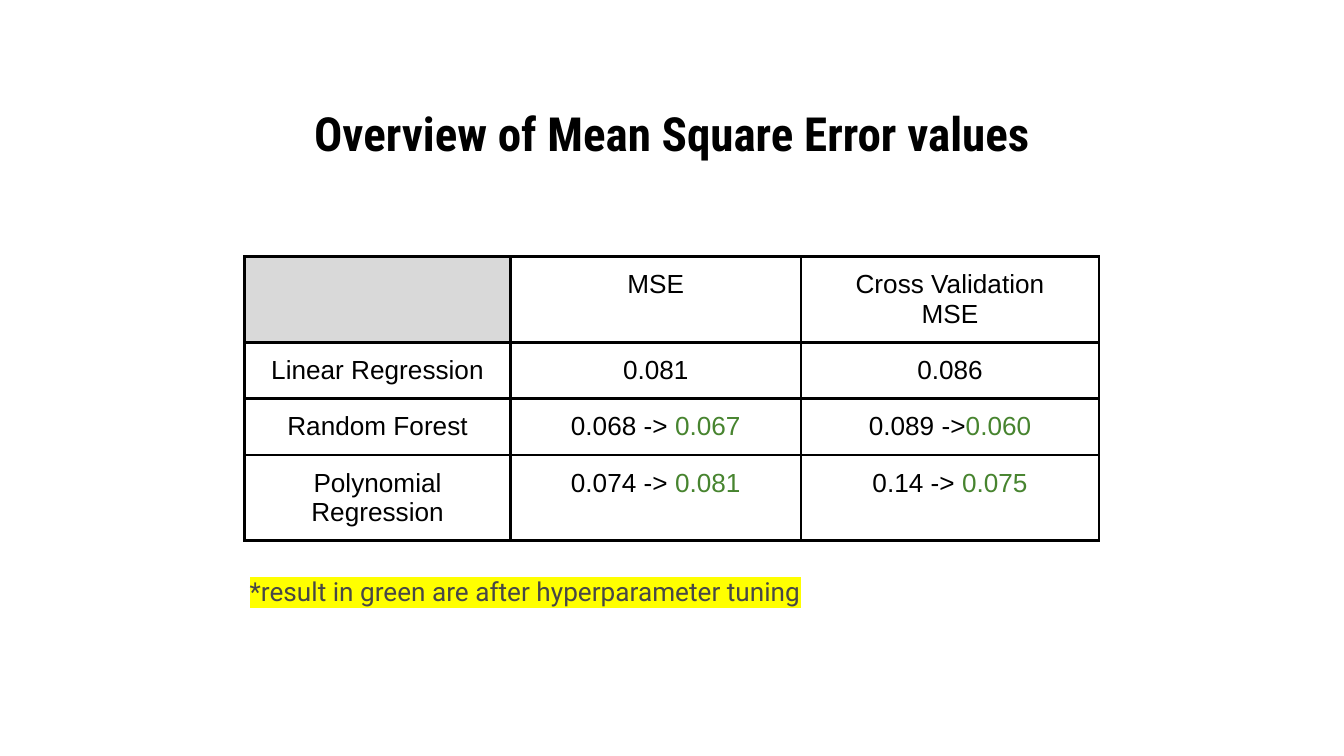
import dataclasses

import lxml.etree
import pptx
import pptx.dml.color
import pptx.enum.text
import pptx.oxml.ns
import pptx.util

Pt = pptx.util.Pt
RGBColor = pptx.dml.color.RGBColor
PP_ALIGN = pptx.enum.text.PP_ALIGN
MSO_ANCHOR = pptx.enum.text.MSO_ANCHOR
qn = pptx.oxml.ns.qn


@dataclasses.dataclass(frozen=True)
class Theme:
    ink: str = "000000"
    tuned: str = "47842F"
    note: str = "474747"
    highlight: str = "FFFF00"
    corner: str = "D9D9D9"
    title_font: str = "Roboto Condensed"
    table_font: str = "Arial"
    note_font: str = "Roboto"
    title_size: float = 25.2
    body_size: float = 14
    border: float = 1.5
    inset: float = 7.2


THEME = Theme()

COLUMN_WIDTHS = [142.6, 155.5, 159.8]
ROW_HEIGHTS = [45.6, 30.2, 30.2, 45.6]
RESULTS = [
    [("", ""), ("MSE", ""), ("Cross Validation\nMSE", "")],
    [("Linear Regression", ""), ("0.081", ""), ("0.086", "")],
    [("Random Forest", ""), ("0.068 -> ", "0.067"), ("0.089 ->", "0.060")],
    [("Polynomial Regression", ""), ("0.074 -> ", "0.081"), ("0.14 -> ", "0.075")],
]


def format_run(run, font_name, size, color, bold=False):
    run.font.name = font_name
    run.font.size = Pt(size)
    run.font.bold = bold
    run.font.color.rgb = RGBColor.from_string(color)


def set_margins(target):
    target.margin_left = target.margin_right = Pt(THEME.inset)
    target.margin_top = target.margin_bottom = Pt(THEME.inset)


def place(shape, left, top, width, height):
    shape.left, shape.top = Pt(left), Pt(top)
    shape.width, shape.height = Pt(width), Pt(height)


def add_title(slide, text):
    title = slide.shapes.title
    place(title, 36, 56.2, 648, 29.5)
    text_frame = title.text_frame
    text_frame.text = text
    text_frame.word_wrap = True
    text_frame.auto_size = pptx.enum.text.MSO_AUTO_SIZE.NONE
    text_frame.vertical_anchor = MSO_ANCHOR.MIDDLE
    set_margins(text_frame)
    paragraph = text_frame.paragraphs[0]
    paragraph.alignment = PP_ALIGN.CENTER
    format_run(paragraph.runs[0], THEME.title_font, THEME.title_size, THEME.ink, True)


def set_borders(cell):
    properties = cell._tc.get_or_add_tcPr()
    for index, side in enumerate(("lnL", "lnR", "lnT", "lnB")):
        line = lxml.etree.Element(qn(f"a:{side}"), w=str(Pt(THEME.border)))
        fill = lxml.etree.SubElement(line, qn("a:solidFill"))
        lxml.etree.SubElement(fill, qn("a:srgbClr"), val=THEME.ink)
        properties.insert(index, line)


def fill_cell(cell, text, tuned):
    set_margins(cell)
    cell.vertical_anchor = MSO_ANCHOR.TOP
    cell.fill.background()
    set_borders(cell)
    cell.text_frame.text = text
    for paragraph in cell.text_frame.paragraphs:
        paragraph.alignment = PP_ALIGN.CENTER
        for run in paragraph.runs:
            format_run(run, THEME.table_font, THEME.body_size, THEME.ink)
    if tuned:
        run = cell.text_frame.paragraphs[-1].add_run()
        run.text = tuned
        format_run(run, THEME.table_font, THEME.body_size, THEME.tuned)


def add_results_table(slide, left, top):
    frame = slide.shapes.add_table(
        len(ROW_HEIGHTS), len(COLUMN_WIDTHS), Pt(left), Pt(top),
        Pt(sum(COLUMN_WIDTHS)), Pt(sum(ROW_HEIGHTS)))
    table = frame.table
    table.first_row = False
    table.horz_banding = False
    for column, width in zip(table.columns, COLUMN_WIDTHS):
        column.width = Pt(width)
    for row, height, results in zip(table.rows, ROW_HEIGHTS, RESULTS):
        row.height = Pt(height)
        for cell, (text, tuned) in zip(row.cells, results):
            fill_cell(cell, text, tuned)
    corner = table.cell(0, 0)
    corner.fill.solid()
    corner.fill.fore_color.rgb = RGBColor.from_string(THEME.corner)


def highlight_run(run, color):
    highlight = lxml.etree.Element(qn("a:highlight"))
    lxml.etree.SubElement(highlight, qn("a:srgbClr"), val=color)
    run.font._element.find(qn("a:solidFill")).addnext(highlight)


def add_note(slide, text):
    note = slide.shapes.add_textbox(Pt(126.7), Pt(301), Pt(465.8), Pt(38.2))
    text_frame = note.text_frame
    text_frame.text = text
    text_frame.word_wrap = True
    set_margins(text_frame)
    run = text_frame.paragraphs[0].runs[0]
    format_run(run, THEME.note_font, THEME.body_size, THEME.note)
    highlight_run(run, THEME.highlight)


def main():
    presentation = pptx.Presentation()
    presentation.slide_width = Pt(720)
    presentation.slide_height = Pt(405)
    slide = presentation.slides.add_slide(presentation.slide_layouts[5])
    add_title(slide, "Overview of Mean Square Error values")
    add_results_table(slide, 131, 137.5)
    add_note(slide, "*result in green are after hyperparameter tuning")
    presentation.save("out.pptx")


if __name__ == "__main__":
    main()
